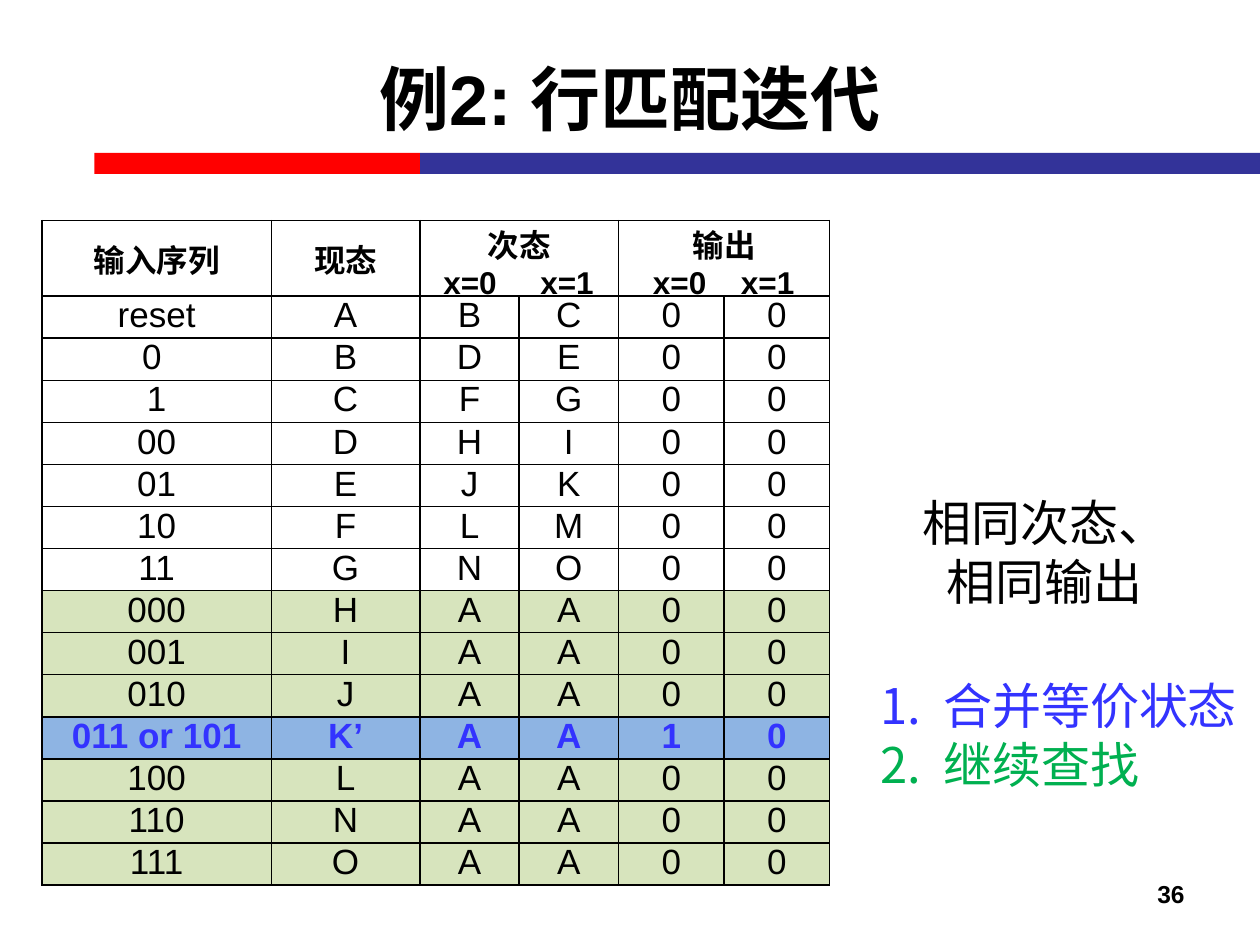
"""Build the slide on row matching iteration for a state table."""
from dataclasses import dataclass

from pptx import Presentation
from pptx import util as u
from pptx.dml.color import RGBColor
from pptx.enum import shapes, text
from pptx.oxml import parse_xml
from pptx.oxml.ns import nsdecls

BLACK = RGBColor(0x00, 0x00, 0x00)
WHITE = RGBColor(0xFF, 0xFF, 0xFF)
RED = RGBColor(0xFF, 0x00, 0x00)
NAVY = RGBColor(0x33, 0x33, 0x99)
BLUE = RGBColor(0x33, 0x33, 0xFF)
GREEN = RGBColor(0x00, 0xB0, 0x50)
PALE_GREEN = RGBColor(0xD7, 0xE4, 0xBD)
PALE_BLUE = RGBColor(0x8E, 0xB4, 0xE3)

CENTER = text.PP_ALIGN.CENTER
LEFT = text.PP_ALIGN.LEFT
RIGHT = text.PP_ALIGN.RIGHT
TOP = text.MSO_ANCHOR.TOP
MIDDLE = text.MSO_ANCHOR.MIDDLE

COLUMN_WIDTHS = (131, 85, 56.7, 56.7, 60.4, 60.4)
HEADER_HEIGHT = 43.2
ROW_HEIGHT = 24


@dataclass(frozen=True)
class Area:
    left: float
    top: float
    width: float
    height: float

    def lengths(self) -> tuple:
        return tuple(u.Pt(v) for v in (self.left, self.top, self.width, self.height))


@dataclass(frozen=True)
class Style:
    size: float
    color: RGBColor = BLACK
    bold: bool = False
    align: text.PP_ALIGN = CENTER


@dataclass(frozen=True)
class Bar:
    area: Area
    color: RGBColor


@dataclass(frozen=True)
class Label:
    area: Area
    wording: str
    style: Style
    anchor: text.MSO_ANCHOR = TOP


@dataclass(frozen=True)
class Heading:
    column: int
    wording: str
    span: int = 1
    tabs: tuple = ()


@dataclass(frozen=True)
class State:
    sequence: str
    present: str
    following: str
    outputs: str = "00"
    fill: RGBColor = WHITE
    style: Style = Style(20)

    def values(self) -> list:
        return [self.sequence, self.present, *self.following, *self.outputs]


BARS = (
    Bar(Area(54, 87.4, 186, 12), RED),
    Bar(Area(240, 87.4, 480, 12), NAVY),
)
LABELS = (
    Label(Area(516, 492, 168, 37.5), "36", Style(14, bold=True, align=RIGHT), MIDDLE),
    Label(Area(36, 10.8, 648, 90), "例2: 行匹配迭代", Style(40, bold=True), MIDDLE),
    Label(Area(510, 278, 174, 75), "相同次态、相同输出", Style(28)),
)
STEPS_AREA = Area(496, 382.3, 224, 75)
STEPS = (("合并等价状态", BLUE), ("继续查找", GREEN))
HEADINGS = (
    Heading(0, "输入序列"),
    Heading(1, "现态"),
    Heading(2, "次态\n\tx=0\tx=1", 2, (28.6, 84)),
    Heading(4, "输出\n\tx=0\tx=1", 2, (35, 85.3)),
)
STATES = (
    State("reset", "A", "BC"),
    State("0 ", "B", "DE"),
    State("1", "C", "FG"),
    State("00", "D", "HI"),
    State("01", "E", "JK"),
    State("10", "F", "LM"),
    State("11", "G", "NO"),
    State("000", "H", "AA", fill=PALE_GREEN),
    State("001", "I", "AA", fill=PALE_GREEN),
    State("010", "J", "AA", fill=PALE_GREEN),
    State("011 or 101", "K’", "AA", "10", PALE_BLUE, Style(20, BLUE, True)),
    State("100", "L", "AA", fill=PALE_GREEN),
    State("110", "N", "AA", fill=PALE_GREEN),
    State("111", "O", "AA", fill=PALE_GREEN),
)


def style_paragraph(para, style: Style) -> None:
    para.alignment = style.align
    for span in para.runs:
        span.font.name = "Arial"
        span.font.size = u.Pt(style.size)
        span.font.bold = style.bold
        span.font.color.rgb = style.color


def draw_bar(page, bar: Bar) -> None:
    shape = page.shapes.add_shape(shapes.MSO_SHAPE.RECTANGLE, *bar.area.lengths())
    shape.shadow.inherit = False
    shape.fill.solid()
    shape.fill.fore_color.rgb = bar.color
    shape.line.fill.background()


def draw_label(page, label: Label) -> None:
    frame = page.shapes.add_textbox(*label.area.lengths()).text_frame
    frame.word_wrap = True
    frame.vertical_anchor = label.anchor
    frame.text = label.wording
    style_paragraph(frame.paragraphs[0], label.style)


def draw_steps(page) -> None:
    frame = page.shapes.add_textbox(*STEPS_AREA.lengths()).text_frame
    frame.word_wrap = True
    frame.text = "\n".join(wording for wording, _ in STEPS)
    for para, (_, color) in zip(frame.paragraphs, STEPS):
        props = para._p.get_or_add_pPr()
        props.set("marL", str(u.Pt(36)))
        props.set("indent", str(u.Pt(-36)))
        props.append(parse_xml(f'<a:buAutoNum {nsdecls("a")} type="arabicPeriod"/>'))
        style_paragraph(para, Style(28, color, align=LEFT))


def add_tabs(para, positions: tuple) -> None:
    stops = "".join(f'<a:tab pos="{u.Pt(p)}" algn="ctr"/>' for p in positions)
    xml = f'<a:tabLst {nsdecls("a")}>{stops}</a:tabLst>'
    para._p.get_or_add_pPr().append(parse_xml(xml))


def format_cell(cell, fill: RGBColor, anchor: text.MSO_ANCHOR) -> None:
    cell.margin_left = cell.margin_right = cell.margin_top = cell.margin_bottom = 0
    cell.vertical_anchor = anchor
    cell.fill.solid()
    cell.fill.fore_color.rgb = fill
    props = cell._tc.get_or_add_tcPr()
    for index, side in enumerate("LRTB"):
        props.insert(index, parse_xml(
            f'<a:ln{side} {nsdecls("a")} w="{u.Pt(1)}"><a:solidFill>'
            f'<a:srgbClr val="{BLACK}"/></a:solidFill></a:ln{side}>'))


def draw_table(page) -> None:
    area = Area(24, 126, sum(COLUMN_WIDTHS), HEADER_HEIGHT + ROW_HEIGHT * len(STATES))
    table = page.shapes.add_table(
        len(STATES) + 1, len(COLUMN_WIDTHS), *area.lengths()).table
    table.first_row = table.horz_banding = False
    for column, width in zip(table.columns, COLUMN_WIDTHS):
        column.width = u.Pt(width)
    for index, row in enumerate(table.rows):
        row.height = u.Pt(ROW_HEIGHT if index else HEADER_HEIGHT)
    for cell in table.rows[0].cells:
        format_cell(cell, WHITE, MIDDLE)
    for heading in HEADINGS:
        cell = table.cell(0, heading.column)
        if heading.span > 1:
            cell.merge(table.cell(0, heading.column + heading.span - 1))
        cell.text_frame.text = heading.wording
        for para in cell.text_frame.paragraphs:
            tabbed = "\t" in para.text
            if tabbed:
                add_tabs(para, heading.tabs)
            style_paragraph(para, Style(18, bold=True, align=LEFT if tabbed else CENTER))
    for index, state in enumerate(STATES, 1):
        for cell, value in zip(table.rows[index].cells, state.values()):
            format_cell(cell, state.fill, TOP)
            cell.text_frame.text = value
            style_paragraph(cell.text_frame.paragraphs[0], state.style)


def main() -> None:
    deck = Presentation()
    deck.slide_width, deck.slide_height = u.Pt(720), u.Pt(540)
    page = deck.slides.add_slide(deck.slide_layouts[6])
    for bar in BARS:
        draw_bar(page, bar)
    for label in LABELS:
        draw_label(page, label)
    draw_steps(page)
    draw_table(page)
    deck.save("out.pptx")


if __name__ == "__main__":
    main()
